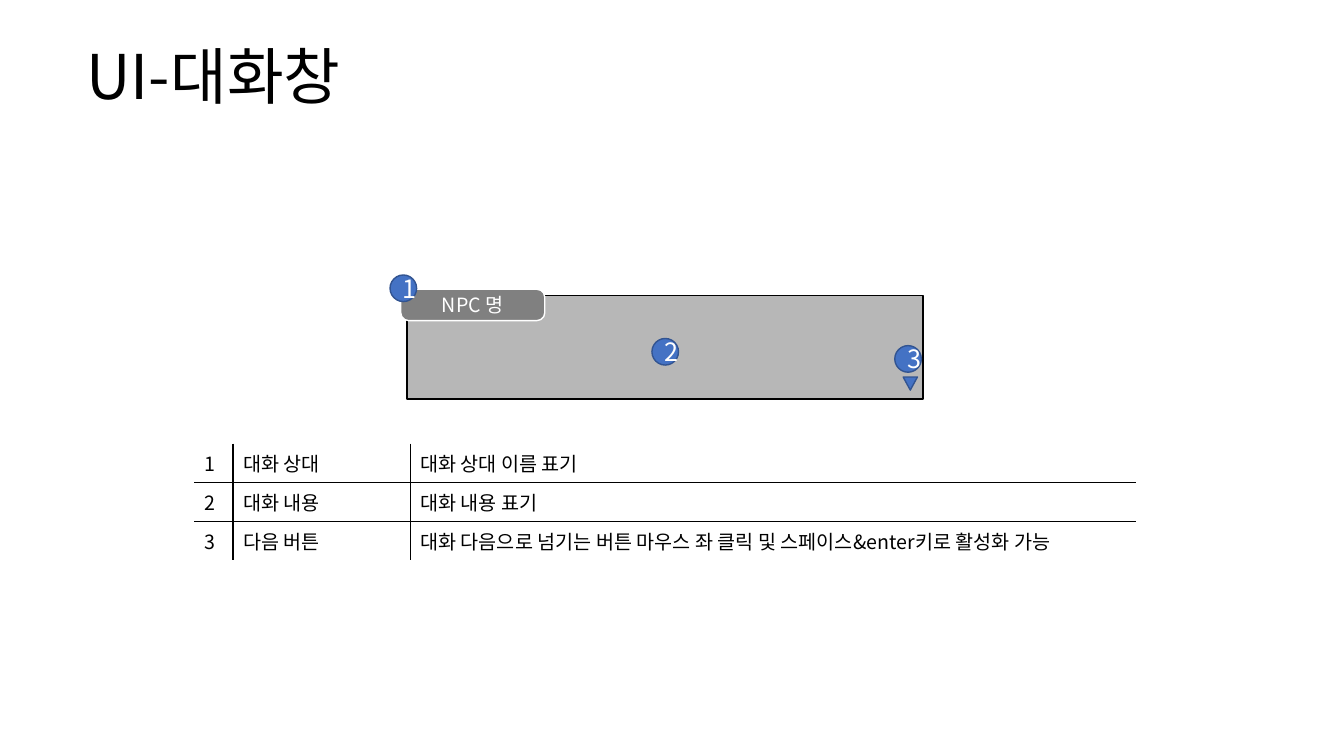
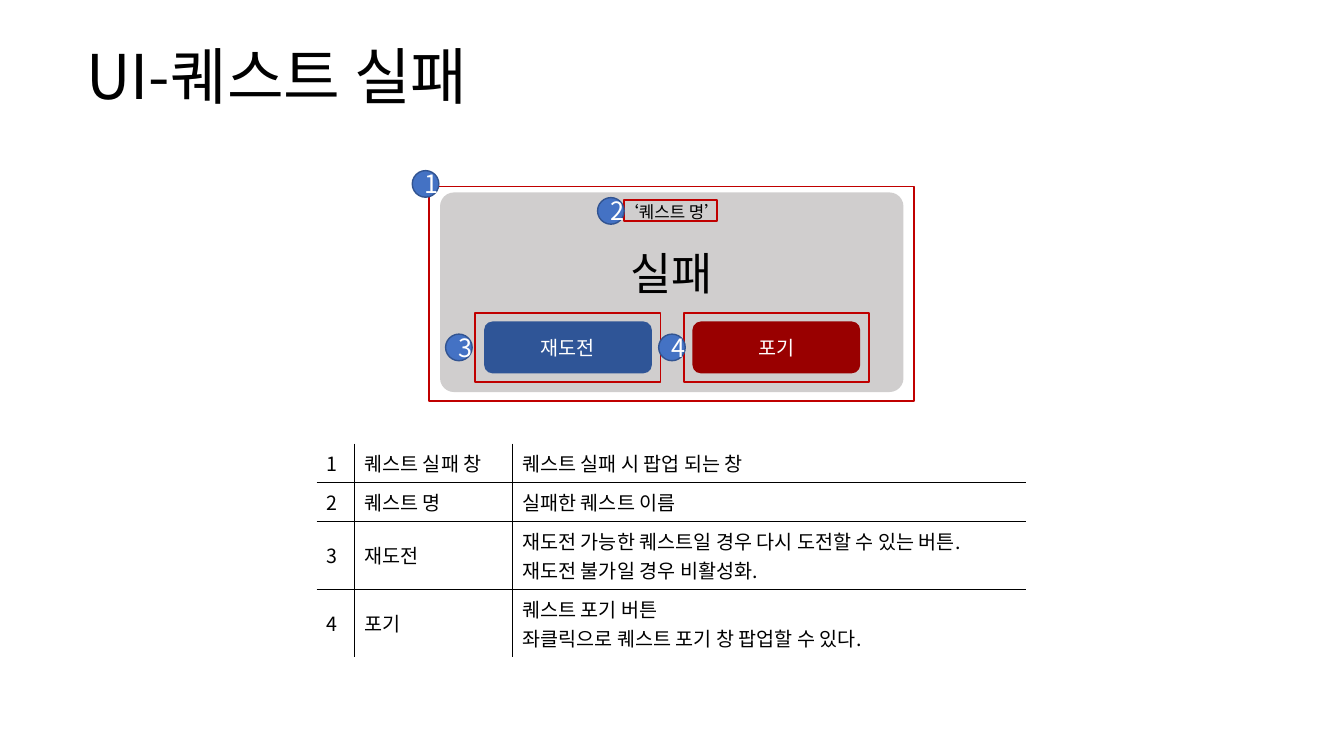
from lxml import etree
from pptx import Presentation
from pptx.dml.color import RGBColor
from pptx.enum.shapes import MSO_SHAPE
from pptx.enum.text import MSO_ANCHOR, PP_ALIGN
from pptx.oxml.ns import qn
from pptx.util import Cm, Pt

RECT, ROUND = MSO_SHAPE.RECTANGLE, MSO_SHAPE.ROUNDED_RECTANGLE
OVAL, TRIANGLE = MSO_SHAPE.OVAL, MSO_SHAPE.ISOSCELES_TRIANGLE
MIDDLE, TOP, CENTER = MSO_ANCHOR.MIDDLE, MSO_ANCHOR.TOP, PP_ALIGN.CENTER

FONT = "Noto Sans CJK KR"
BLACK, WHITE = "000000", "FFFFFF"
BLUE, BLUE_EDGE, NAVY, CRIMSON = "4472C4", "325491", "2F5597", "990000"
GREY, TAB_GREY, PANEL_GREY, RED = "A6A6A6", "808080", "D0CECE", "C00000"
BADGE = 0.67
ROW, EXTRA_LINE = 0.98, 0.73


def rgb(color):
    """Turn a hex string into a colour."""
    return RGBColor.from_string(color)


def format_runs(p, size, color):
    """Set font, size and colour on the runs of a paragraph."""
    for r in p.runs:
        r.font.size = Pt(size)
        r.font.name = FONT
        r.font.color.rgb = rgb(color)
        etree.SubElement(r._r.get_or_add_rPr(), qn("a:ea"), typeface=FONT)


def write(tf, text, size, color=BLACK, align=None):
    """Fill a text frame with evenly formatted paragraphs."""
    tf.text = text
    for p in tf.paragraphs:
        p.alignment = align
        format_runs(p, size, color)


def add_box(slide, kind, x, y, w, h, fill=None, line=None, weight=1, adj=None):
    """Add a preset shape, measured in centimetres."""
    s = slide.shapes.add_shape(kind, Cm(x), Cm(y), Cm(w), Cm(h))
    s.shadow.inherit = False
    if fill:
        s.fill.solid()
        s.fill.fore_color.rgb = rgb(fill)
    else:
        s.fill.background()
    if line:
        s.line.color.rgb = rgb(line)
        s.line.width = Pt(weight)
    else:
        s.line.fill.background()
    if adj is not None:
        s.adjustments[0] = adj
    return s


def add_badge(slide, number, x, y):
    """Add a numbered blue circle."""
    s = add_box(slide, OVAL, x, y, BADGE, BADGE, BLUE, BLUE_EDGE)
    write(s.text_frame, str(number), 18, WHITE, CENTER)


def add_frame(slide, x, y, w, h):
    """Add a red outline around a marked area."""
    add_box(slide, RECT, x, y, w, h, line=RED, weight=1.25)


def add_title(slide, text):
    """Add the slide title."""
    tf = slide.shapes.add_textbox(Cm(1.93), Cm(0.81), Cm(30), Cm(2.39)).text_frame
    tf.word_wrap = True
    tf.vertical_anchor = MIDDLE
    write(tf, text, 44)
    tf.paragraphs[0].line_spacing = 0.9


def add_borders(cell, sides):
    """Draw black lines on the named sides and hide the others."""
    tcPr = cell._tc.get_or_add_tcPr()
    for side in "LRTB":
        ln = etree.SubElement(tcPr, qn(f"a:ln{side}"), w=str(Pt(1)))
        if side in sides:
            fill = etree.SubElement(ln, qn("a:solidFill"))
            etree.SubElement(fill, qn("a:srgbClr"), val=BLACK)
        else:
            etree.SubElement(ln, qn("a:noFill"))


def add_legend(slide, x, y, widths, entries):
    """Add the numbered table with inner lines only."""
    heights = [ROW + EXTRA_LINE * text.count("\n") for _, text in entries]
    table = slide.shapes.add_table(len(entries), len(widths), Cm(x), Cm(y),
                                   Cm(sum(widths)), Cm(sum(heights))).table
    table.first_row = table.horz_banding = False
    for column, width in zip(table.columns, widths):
        column.width = Cm(width)
    last_row, last_col = len(entries) - 1, len(widths) - 1
    for i, entry in enumerate(entries):
        table.rows[i].height = Cm(heights[i])
        for j, text in enumerate((str(i + 1), *entry)):
            cell = table.cell(i, j)
            write(cell.text_frame, text, 14)
            cell.vertical_anchor = MIDDLE
            inner = {"L": j > 0, "R": j < last_col, "T": i > 0, "B": i < last_row}
            add_borders(cell, [side for side, shown in inner.items() if shown])
            cell.fill.background()


def add_dialog(slide, x, y):
    """Add the dialogue window with its name tab and next button."""
    s = add_box(slide, RECT, x, y, 13, 2.62, GREY, BLACK)
    color = s.fill._xPr.find(qn("a:solidFill"))[0]
    etree.SubElement(color, qn("a:alpha"), val="80000")
    tab = add_box(slide, ROUND, x - 0.16, y - 0.15, 3.63, 0.79, TAB_GREY, WHITE, adj=0.25)
    write(tab.text_frame, "NPC 명", 14, WHITE, CENTER)
    arrow = add_box(slide, TRIANGLE, x + 12.5, y + 2.06, 0.36, 0.33, BLUE, BLUE_EDGE)
    arrow.rotation = 180
    for number, dx, dy in ((1, -0.43, -0.51), (2, 6.17, 1.09), (3, 12.29, 1.27)):
        add_badge(slide, number, x + dx, y + dy)


def add_button(slide, x, y, text, color, number, gap):
    """Add a framed button with its badge on the left."""
    w, h, inset = 4.67, 1.75, 0.22
    s = add_box(slide, ROUND, x + inset, y + inset, w - 2 * inset, h - 2 * inset, color)
    write(s.text_frame, text, 14, WHITE, CENTER)
    add_frame(slide, x, y, w, h)
    add_badge(slide, number, x - gap, y + (h - BADGE) / 2)


def add_popup(slide, x, y):
    """Add the quest failure popup with its marked areas."""
    panel = add_box(slide, ROUND, x + 0.27, y + 0.15, 11.68, 5.03, PANEL_GREY, adj=0.07)
    tf = panel.text_frame
    tf.vertical_anchor = TOP
    write(tf, "‘퀘스트 명’\n실패", 12, BLACK, CENTER)
    result = tf.paragraphs[1]
    result.space_before = Pt(17.5)
    for r in result.runs:
        r.font.size = Pt(32)
    add_frame(slide, x, y, 12.22, 5.41)
    add_badge(slide, 1, x - 0.43, y - 0.4)
    add_frame(slide, x + 4.9, y + 0.35, 2.36, 0.53)
    add_badge(slide, 2, x + 4.24, y + 0.28)
    buttons = (("재도전", NAVY, 0.75), ("포기", CRIMSON, 0.63))
    for i, (text, color, gap) in enumerate(buttons):
        add_button(slide, x + 1.16 + 5.25 * i, y + 3.18, text, color, i + 3, gap)


def dialog_slide(slide):
    """Build the dialogue window slide."""
    add_title(slide, "UI-대화창")
    add_legend(slide, 4.9, 11.18, (0.97, 4.47, 18.29), (
        ("대화 상대", "대화 상대 이름 표기"),
        ("대화 내용", "대화 내용 표기"),
        ("다음 버튼", "대화 다음으로 넘기는 버튼 마우스 좌 클릭 및 스페이스&enter키로 활성화 가능"),
    ))
    add_dialog(slide, 10.26, 7.44)


def failure_slide(slide):
    """Build the quest failure slide."""
    add_title(slide, "UI-퀘스트 실패")
    add_legend(slide, 7.98, 11.18, (0.95, 3.98, 12.94), (
        ("퀘스트 실패 창", "퀘스트 실패 시 팝업 되는 창"),
        ("퀘스트 명", "실패한 퀘스트 이름"),
        ("재도전", "재도전 가능한 퀘스트일 경우 다시 도전할 수 있는 버튼.\n재도전 불가일 경우 비활성화."),
        ("포기", "퀘스트 포기 버튼\n좌클릭으로 퀘스트 포기 창 팝업할 수 있다."),
    ))
    add_popup(slide, 10.82, 4.7)


def main():
    """Build and save the presentation."""
    prs = Presentation()
    prs.slide_width, prs.slide_height = Cm(33.87), Cm(19.05)
    for build in (dialog_slide, failure_slide):
        build(prs.slides.add_slide(prs.slide_layouts[6]))
    prs.save("out.pptx")


if __name__ == "__main__":
    main()
